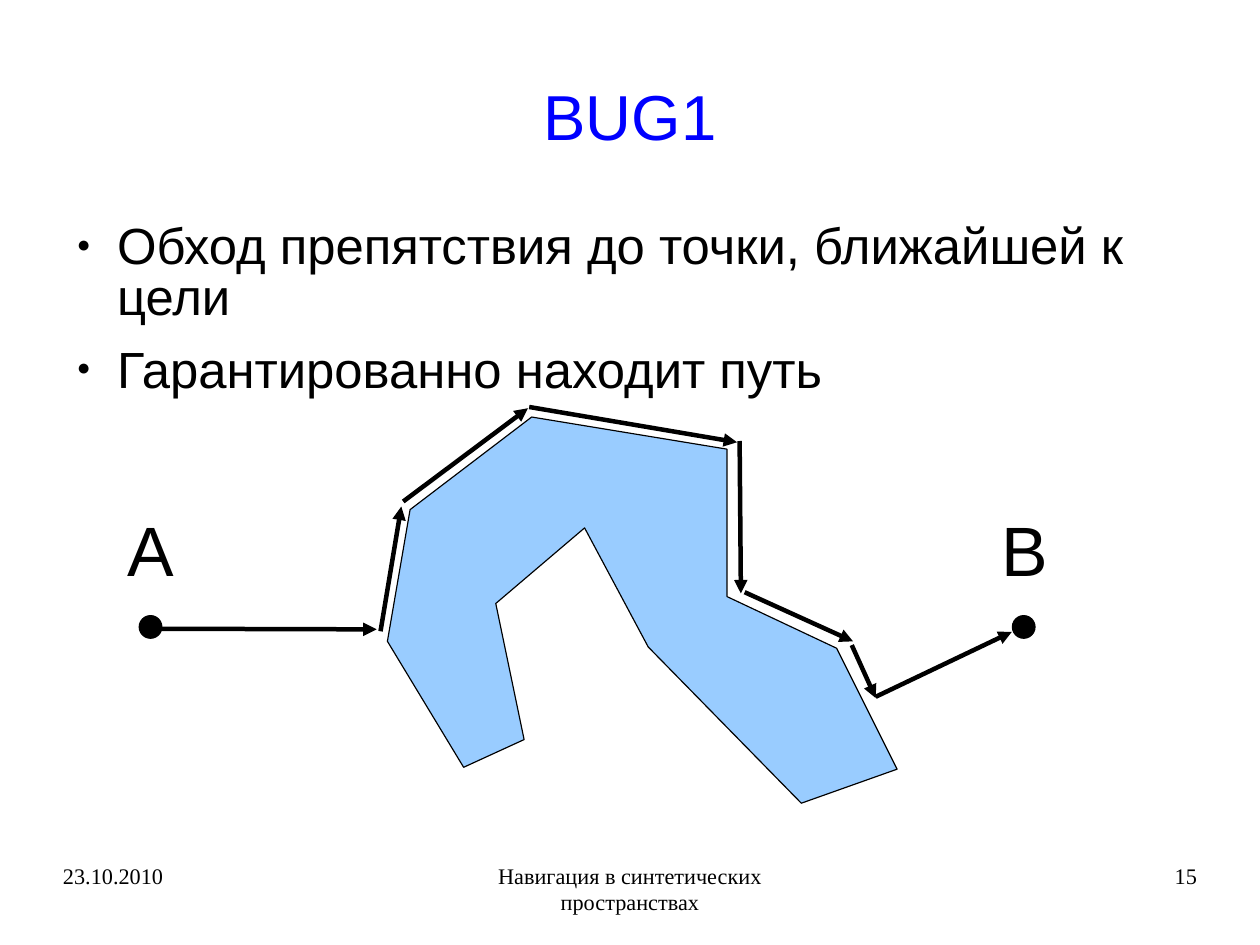
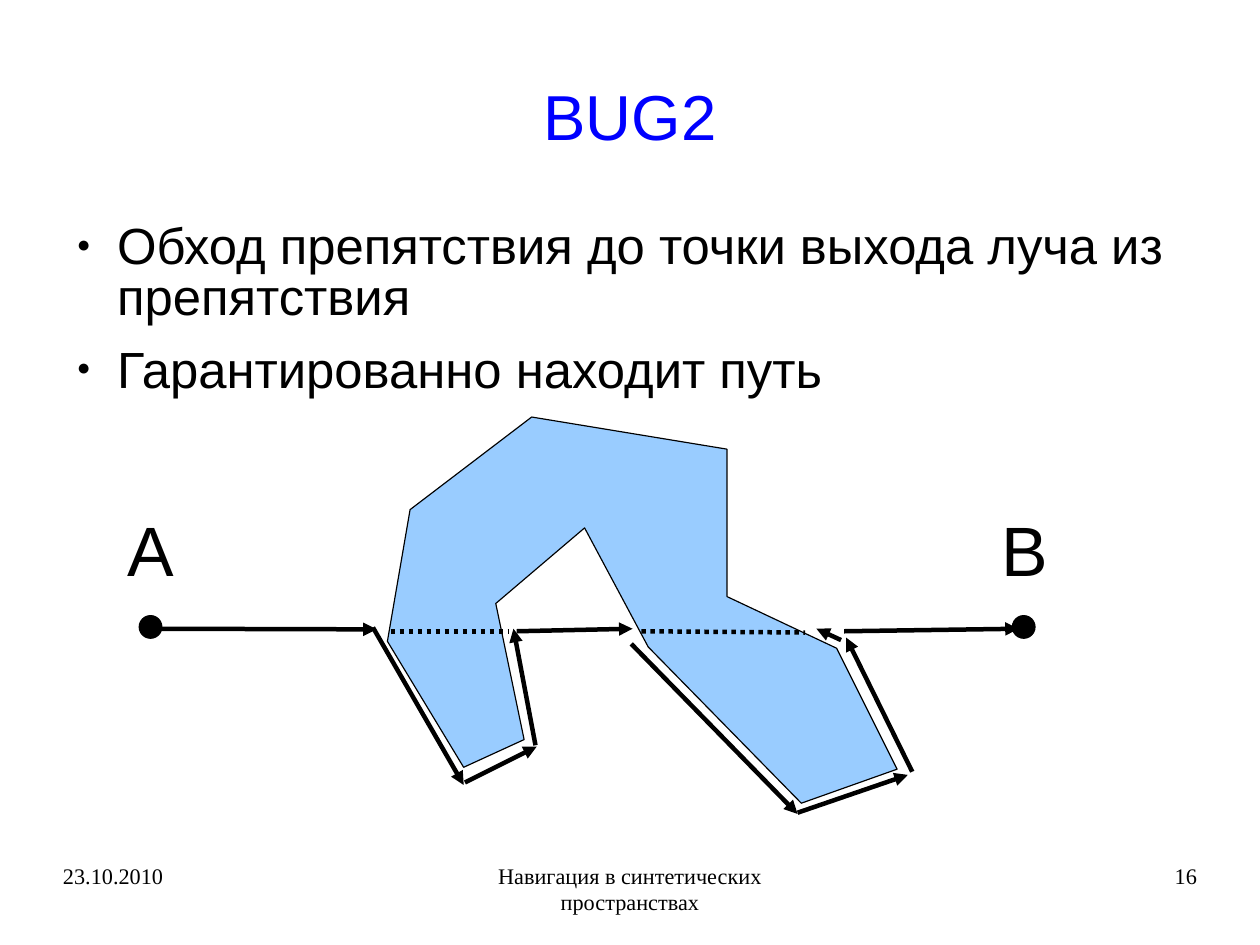
import pptx
import pptx.dml.color
import pptx.enum.dml
import pptx.enum.shapes
import pptx.enum.text
import pptx.oxml
import pptx.oxml.ns
import pptx.util

RGBColor = pptx.dml.color.RGBColor
ALIGN = pptx.enum.text.PP_ALIGN

BLACK = RGBColor(0x00, 0x00, 0x00)
TITLE_BLUE = RGBColor(0x00, 0x00, 0xFF)
OBSTACLE_BLUE = RGBColor(0x99, 0xCC, 0xFF)
SANS = "Arial"
SERIF = "Times New Roman"

# The grid has square cells: 100 columns across the slide, 75 rows down.
COLUMNS = 100
SLIDE_WIDTH = pptx.util.Cm(28)
SLIDE_HEIGHT = pptx.util.Cm(21)

MARGIN = 5
CONTENT_WIDTH = COLUMNS - 2 * MARGIN
FOOTER_TOP, FOOTER_HEIGHT = 68.4, 5.2
FOOTER_SIDE_WIDTH, FOOTER_CENTER_WIDTH = 23.3, 31.7
DOT_TOP, DOT_SIZE = 48.86, 1.8
START_LEFT, GOAL_LEFT = 11.05, 80.35

DATE = "23.10.2010"
COURSE = "Навигация в синтетических пространствах"
FIRST_NUMBER = 15
GUARANTEE = "Гарантированно находит путь"

OBSTACLE = [
    (36.8, 60.9), (30.75, 50.9), (32.55, 40.45), (42.2, 33.1), (57.7, 35.65),
    (57.7, 47.35), (66.4, 51.45), (71.2, 61.05), (63.6, 63.75), (51.45, 51.35),
    (46.4, 41.9), (39.35, 47.9), (41.6, 58.7),
]
APPROACH = ((11.9, 49.9), (29.9, 49.95))
BUG1_DETOUR = [
    ((30.2, 50.1), (31.85, 40.2)),
    ((32, 39.8), (41.9, 32.4)),
    ((42, 32.3), (58.5, 35.1)),
    ((58.7, 35), (58.8, 47.1)),
    ((59.1, 47), (67.7, 50.9)),
    ((67.6, 51.2), (69.5, 55.4)),
    ((69.5, 55.3), (80.3, 50.15)),
]
BUG2_DETOUR = [
    ((29.6, 49.8), (36.8, 62.3)),
    ((36.9, 62.1), (42.6, 59.25)),
    ((42.5, 59.15), (40.75, 49.9)),
    ((41, 50.1), (50.2, 49.9)),
    ((50.1, 51.1), (63.3, 64.6)),
    ((63.3, 64.5), (72.05, 61.5)),
    ((72.4, 61.25), (67.15, 50.6)),
    ((66.75, 50.8), (64.8, 49.9)),
    ((67, 50.1), (80.85, 49.9)),
]
BUG2_RAY = [((31, 50.1), (40.4, 50.1)), ((50.9, 50.1), (63.9, 50.2))]

LESSONS = [
    ("BUG1", "Обход препятствия до точки, ближайшей к цели", [], BUG1_DETOUR),
    ("BUG2", "Обход препятствия до точки выхода луча из препятствия",
     BUG2_RAY, BUG2_DETOUR),
]


def grid(*cells):
    """Turn numbers of grid cells into lengths."""
    return [pptx.util.Emu(round(cell * SLIDE_WIDTH / COLUMNS)) for cell in cells]


def add_xml(parent, xml):
    namespace = pptx.oxml.ns.nsdecls("a")
    parent.append(pptx.oxml.parse_xml(xml.replace("/>", f" {namespace}/>", 1)))


def add_text(slide, box, texts, size, font=SANS, color=BLACK, align=ALIGN.LEFT,
             insets=(0, 0, 0, 0), spacing=0.93, middle=False, bullets=False):
    """Add a text box; box and insets are left, top, then width, height or right, bottom."""
    frame = slide.shapes.add_textbox(*grid(*box)).text_frame
    frame.word_wrap = True
    (frame.margin_left, frame.margin_top,
     frame.margin_right, frame.margin_bottom) = grid(*insets)
    if middle:
        frame.vertical_anchor = pptx.enum.text.MSO_ANCHOR.MIDDLE
    frame.text = "\n".join(texts)
    for paragraph in frame.paragraphs:
        paragraph.alignment = align
        paragraph.line_spacing = spacing
        if bullets:
            add_bullet(paragraph)
        paragraph.font.size = pptx.util.Pt(size)
        paragraph.font.name = font
        paragraph.font.color.rgb = color


def add_bullet(paragraph):
    paragraph.space_after = pptx.util.Pt(14.1)
    properties = paragraph._p.get_or_add_pPr()
    indent, hanging = grid(4.3, 3.2)
    properties.set("marL", str(indent))
    properties.set("indent", str(-hanging))
    add_xml(properties, '<a:buSzPct val="45000"/>')
    add_xml(properties, f'<a:buFont typeface="{SANS}"/>')
    add_xml(properties, '<a:buChar char="●"/>')


def style_shape(shape, fill):
    shape.shadow.inherit = False
    shape.fill.solid()
    shape.fill.fore_color.rgb = fill
    shape.line.color.rgb = BLACK
    shape.line.width = pptx.util.Pt(0.75)


def add_point(slide, label, left):
    """Add a dot with its letter above it."""
    add_text(slide, (left - DOT_SIZE, 40.05, 8.9, 7.1), [label], 44,
             insets=(0.9, 0.8, 0.9, 0.5))
    dot = slide.shapes.add_shape(pptx.enum.shapes.MSO_SHAPE.OVAL,
                                 *grid(left, DOT_TOP, DOT_SIZE, DOT_SIZE))
    style_shape(dot, BLACK)


def add_obstacle(slide):
    corners = [grid(*corner) for corner in OBSTACLE]
    builder = slide.shapes.build_freeform(*corners[0])
    builder.add_line_segments(corners[1:], close=True)
    style_shape(builder.convert_to_shape(), OBSTACLE_BLUE)


def add_line(slide, start, end, dotted=False):
    """Add an arrow, or a dotted line without a head."""
    line = slide.shapes.add_connector(pptx.enum.shapes.MSO_CONNECTOR.STRAIGHT,
                                      *grid(*start, *end))
    line.line.color.rgb = BLACK
    line.line.width = pptx.util.Pt(2.83)
    if dotted:
        line.line.dash_style = pptx.enum.dml.MSO_LINE.ROUND_DOT
    else:
        add_xml(line.line._get_or_add_ln(), '<a:tailEnd type="triangle"/>')
    add_xml(line._element.spPr, "<a:effectLst/>")


def add_footer(slide, number):
    center_left = (COLUMNS - FOOTER_CENTER_WIDTH) / 2
    right_left = COLUMNS - MARGIN - FOOTER_SIDE_WIDTH
    for text, left, width, align in [
        (COURSE, center_left, FOOTER_CENTER_WIDTH, ALIGN.CENTER),
        (str(number), right_left, FOOTER_SIDE_WIDTH, ALIGN.RIGHT),
        (DATE, MARGIN, FOOTER_SIDE_WIDTH, ALIGN.LEFT),
    ]:
        add_text(slide, (left, FOOTER_TOP, width, FOOTER_HEIGHT), [text], 14,
                 font=SERIF, align=align, spacing=1.0)


def add_lesson(presentation, number, title, rule, ray, detour):
    slide = presentation.slides.add_slide(presentation.slide_layouts[6])
    add_text(slide, (MARGIN, 3, CONTENT_WIDTH, 12.5), [title], 40,
             color=TITLE_BLUE, align=ALIGN.CENTER, insets=(0, 0.4, 0, 0), middle=True)
    add_text(slide, (MARGIN, 17.5, CONTENT_WIDTH, 14.2), [rule, GUARANTEE], 32,
             insets=(0, 0.3, 0, 0), spacing=0.83, bullets=True)
    add_point(slide, "A", START_LEFT)
    add_point(slide, "B", GOAL_LEFT)
    add_obstacle(slide)
    for start, end in ray:
        add_line(slide, start, end, dotted=True)
    for start, end in [APPROACH, *detour]:
        add_line(slide, start, end)
    add_footer(slide, number)


def main():
    presentation = pptx.Presentation()
    presentation.slide_width = SLIDE_WIDTH
    presentation.slide_height = SLIDE_HEIGHT
    for number, lesson in enumerate(LESSONS, FIRST_NUMBER):
        add_lesson(presentation, number, *lesson)
    presentation.save("out.pptx")


if __name__ == "__main__":
    main()
